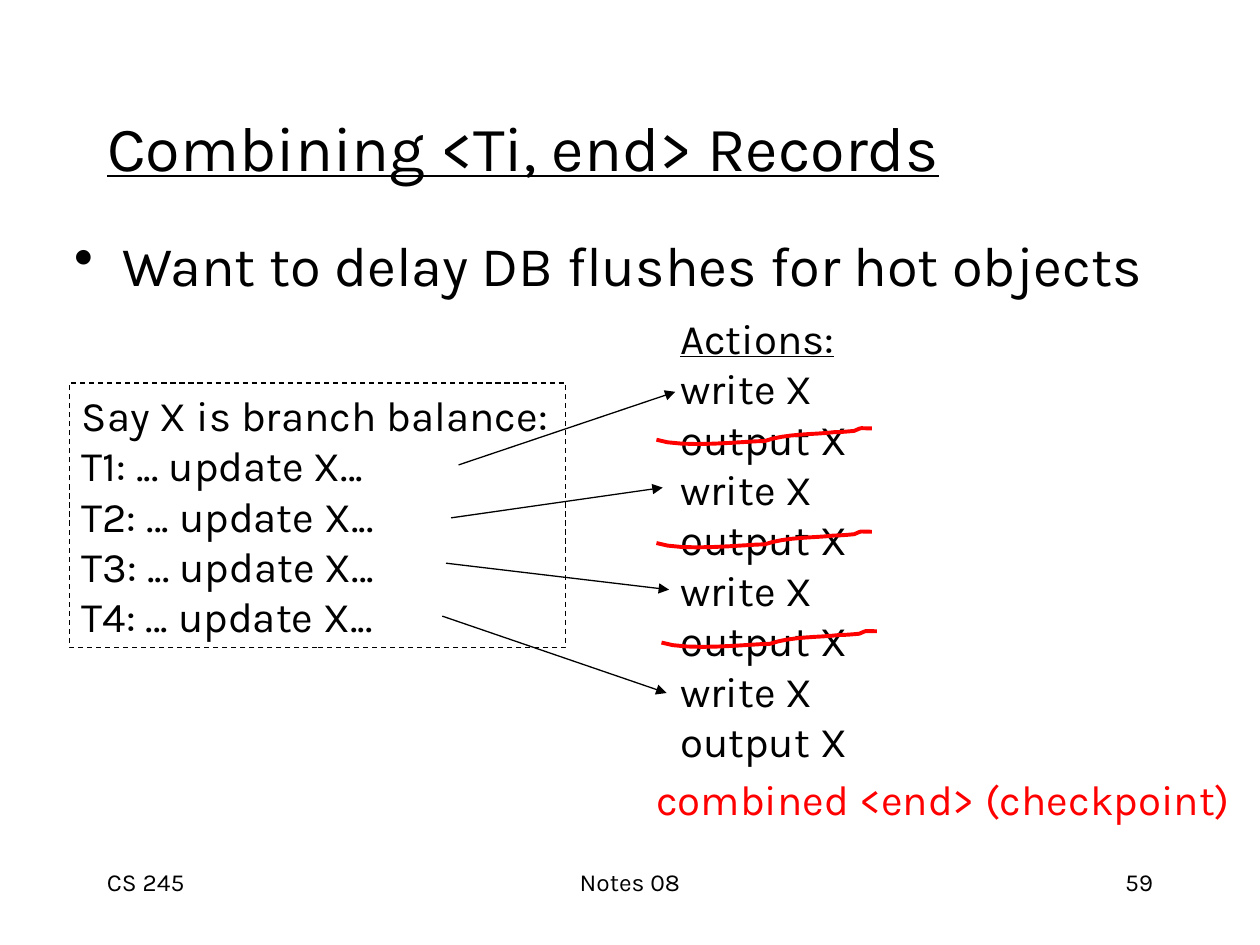
from collections import namedtuple

import pptx
import pptx.dml.color
import pptx.enum.dml
import pptx.enum.shapes
import pptx.enum.text
import pptx.oxml.ns
import pptx.util
from lxml import etree

BLACK = pptx.dml.color.RGBColor(0x00, 0x00, 0x00)
RED = pptx.dml.color.RGBColor(0xFF, 0x00, 0x00)
FONT = "Karla"
LEFT, CENTER, RIGHT = (pptx.enum.text.PP_ALIGN.LEFT, pptx.enum.text.PP_ALIGN.CENTER,
                       pptx.enum.text.PP_ALIGN.RIGHT)

# The slide is a grid of 10 columns by 7.5 rows.
COLUMNS, ROWS = 10, 7.5
CELL = pptx.util.Inches(1)

# One stroke as cubic curves: a start, then (control, control, end) for each.
STROKE_START = (0, 0.1)
STROKE_CURVES = [
    ((0.2, 0.17), (0.72, 0.11), (0.86, 0.11)),
    ((1.03, 0.05), (1.25, 0.06), (1.41, 0.04)),
    ((1.47, 0.04), (1.57, 0.03), (1.57, 0.03)),
    ((1.64, 0), (1.6, 0.01), (1.71, 0.01)),
]

Box = namedtuple("Box", "left top width height")


def cells(*lengths):
    return [round(length * CELL) for length in lengths]


def write(frame, lines, size, color=BLACK, align=LEFT):
    frame.text = "\n".join(lines)
    for paragraph in frame.paragraphs:
        paragraph.alignment = align
        for run in paragraph.runs:
            run.font.name = FONT
            run.font.size = pptx.util.Pt(size)
            run.font.color.rgb = color


def add_text(slide, box, lines, size, color=BLACK, align=LEFT, grow=False):
    """Add a text box that wraps, or one that grows with its lines."""
    frame = slide.shapes.add_textbox(*cells(*box)).text_frame
    frame.word_wrap = not grow
    if grow:
        frame.auto_size = pptx.enum.text.MSO_AUTO_SIZE.SHAPE_TO_FIT_TEXT
    write(frame, lines, size, color, align)
    return frame


def add_title(slide, box, title):
    placeholder = slide.shapes.title
    placeholder.left, placeholder.top, placeholder.width, placeholder.height = cells(*box)
    frame = placeholder.text_frame
    frame.vertical_anchor = pptx.enum.text.MSO_ANCHOR.MIDDLE
    write(frame, [title], 36)
    frame.paragraphs[0].runs[0].font.underline = True


def add_bullet(slide, box, line):
    paragraph = add_text(slide, box, [line], 32).paragraphs[0]
    paragraph.space_before = pptx.util.Pt(8)
    properties = paragraph._p.get_or_add_pPr()
    indent = round(0.38 * CELL)
    properties.set("marL", str(indent))
    properties.set("indent", str(-indent))
    bullet = etree.SubElement(properties, pptx.oxml.ns.qn("a:buChar"))
    bullet.set("char", "•")


def add_transactions(slide, box):
    frame_box = slide.shapes.add_shape(pptx.enum.shapes.MSO_SHAPE.RECTANGLE, *cells(*box))
    frame_box.shadow.inherit = False
    frame_box.fill.background()
    frame_box.line.color.rgb = BLACK
    frame_box.line.width = pptx.util.Pt(0.75)
    frame_box.line.dash_style = pptx.enum.dml.MSO_LINE.DASH
    frame = frame_box.text_frame
    frame.word_wrap = False
    frame.auto_size = pptx.enum.text.MSO_AUTO_SIZE.SHAPE_TO_FIT_TEXT
    frame.vertical_anchor = pptx.enum.text.MSO_ANCHOR.TOP
    updates = [f"T{number}: ... update X..." for number in range(1, 5)]
    write(frame, ["Say X is branch balance:"] + updates, 24)


def add_actions(slide, box):
    """List a write and an output for each of the four transactions."""
    frame = add_text(slide, box, ["Actions:"] + ["write X", "output X"] * 4, 24, grow=True)
    frame.paragraphs[0].runs[0].font.underline = True


def add_arrow(slide, start, end):
    arrow = slide.shapes.add_connector(
        pptx.enum.shapes.MSO_CONNECTOR.STRAIGHT, *cells(*start, *end))
    arrow.line.color.rgb = BLACK
    arrow.line.width = pptx.util.Pt(0.75)
    head = etree.SubElement(arrow.line._get_or_add_ln(), pptx.oxml.ns.qn("a:tailEnd"))
    head.set("type", "triangle")
    etree.SubElement(arrow._element.spPr, pptx.oxml.ns.qn("a:effectLst"))


def link_updates_to_writes(slide, transactions, actions):
    """Draw an arrow from each update to its write; ends are offsets in the two boxes."""
    ends = [
        ((3.09, 0.65), (0.06, 0.68)),
        ((3.03, 1.07), (-0.04, 1.44)),
        ((2.99, 1.43), (0.01, 2.25)),
        ((2.96, 1.85), (-0.01, 3.07)),
    ]
    for (from_x, from_y), (to_x, to_y) in ends:
        add_arrow(slide, (transactions.left + from_x, transactions.top + from_y),
                  (actions.left + to_x, actions.top + to_y))


def stroke_points(steps=8):
    current = STROKE_START
    for first, second, end in STROKE_CURVES:
        for step in range(1, steps + 1):
            t = step / steps
            weights = ((1 - t) ** 3, 3 * t * (1 - t) ** 2, 3 * t * t * (1 - t), t ** 3)
            corners = (current, first, second, end)
            yield tuple(sum(w * corner[axis] for w, corner in zip(weights, corners))
                        for axis in (0, 1))
        current = end


def strike_outputs(slide, actions):
    """Cross out every output but the last."""
    for x, y in [(-0.09, 0.96), (-0.09, 1.78), (-0.05, 2.57)]:
        left, top = actions.left + x, actions.top + y
        builder = slide.shapes.build_freeform(
            *cells(left + STROKE_START[0], top + STROKE_START[1]))
        builder.add_line_segments(
            [cells(left + dx, top + dy) for dx, dy in stroke_points()], close=False)
        stroke = builder.convert_to_shape()
        stroke.shadow.inherit = False
        stroke.fill.background()
        stroke.line.color.rgb = RED
        stroke.line.width = pptx.util.Pt(2.25)


def add_footer(slide, box):
    side, middle = 2.08, 3.17
    parts = [
        (box.left, side, "CS 245", LEFT),
        (box.left + (box.width - middle) / 2, middle, "Notes 08", CENTER),
        (box.left + box.width - side, side, "59", RIGHT),
    ]
    for left, width, text, align in parts:
        add_text(slide, Box(left, box.top, width, box.height), [text], 14, align=align)


def main():
    presentation = pptx.Presentation()
    presentation.slide_width, presentation.slide_height = cells(COLUMNS, ROWS)
    slide = presentation.slides.add_slide(presentation.slide_layouts[5])

    transactions = Box(0.55, 3.04, 3.94, 2.1)
    actions = Box(5.3, 2.43, 1.54, 3.7)
    add_footer(slide, Box(0.75, 6.83, 8.5, 0.5))
    add_title(slide, Box(0.75, 0.67, 8.5, 0.99), "Combining <Ti, end> Records")
    add_bullet(slide, Box(0.49, 1.78, 8.99, 0.74), "Want to delay DB flushes for hot objects")
    add_transactions(slide, transactions)
    add_actions(slide, actions)
    link_updates_to_writes(slide, transactions, actions)
    strike_outputs(slide, actions)
    add_text(slide, Box(5.11, 6.09, 4.83, 0.5), ["combined <end> (checkpoint)"], 24, RED,
             grow=True)

    presentation.save("out.pptx")


if __name__ == "__main__":
    main()
